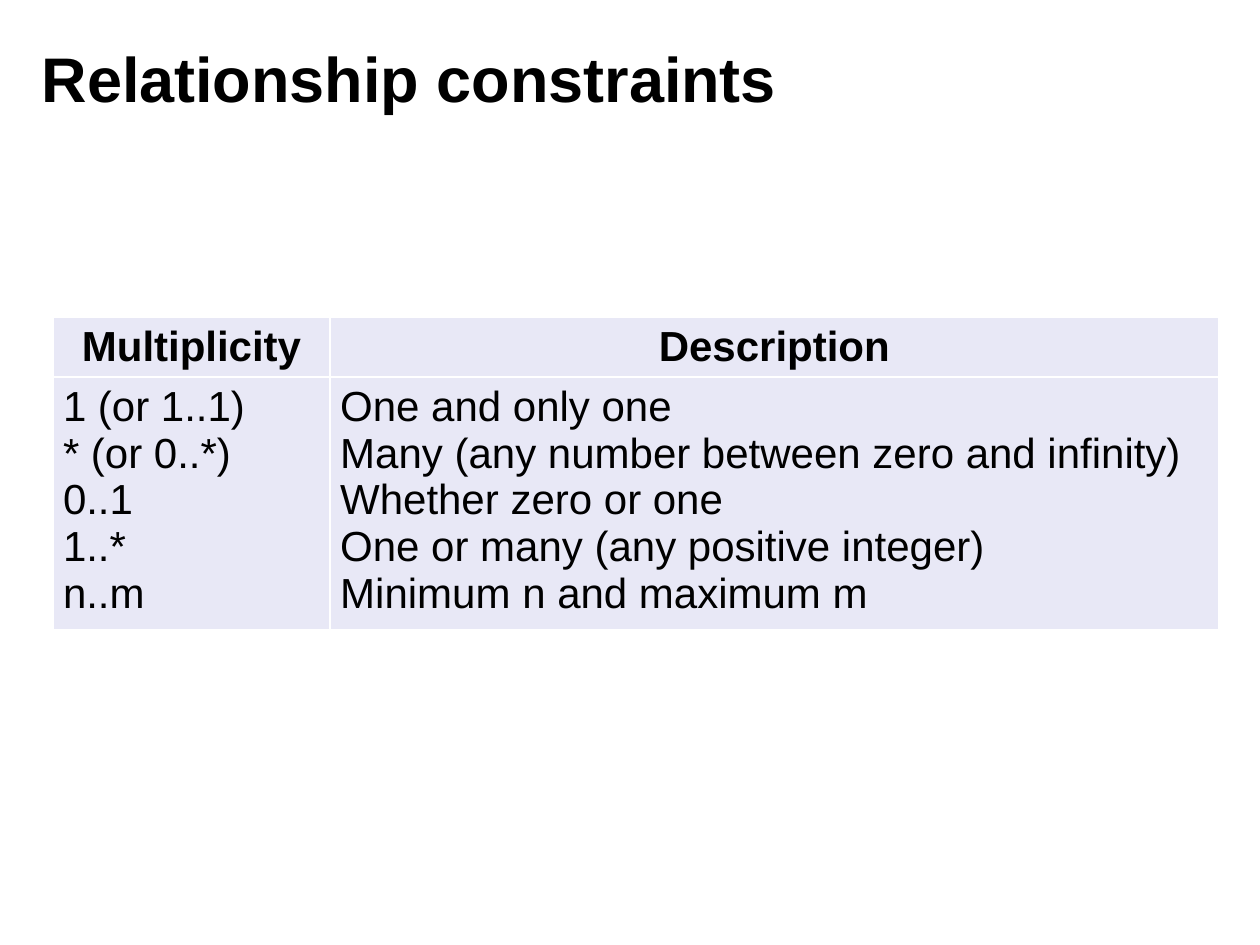
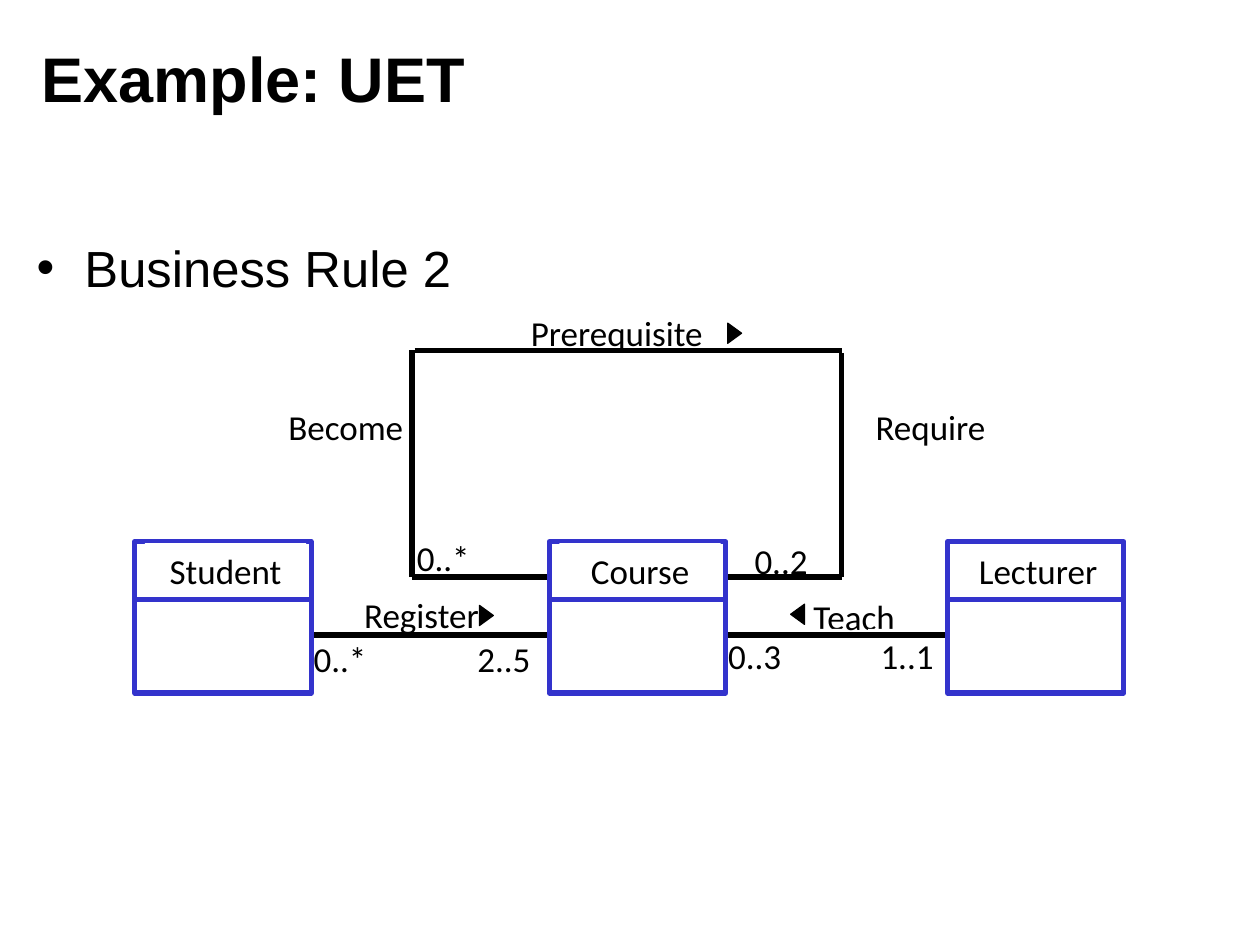
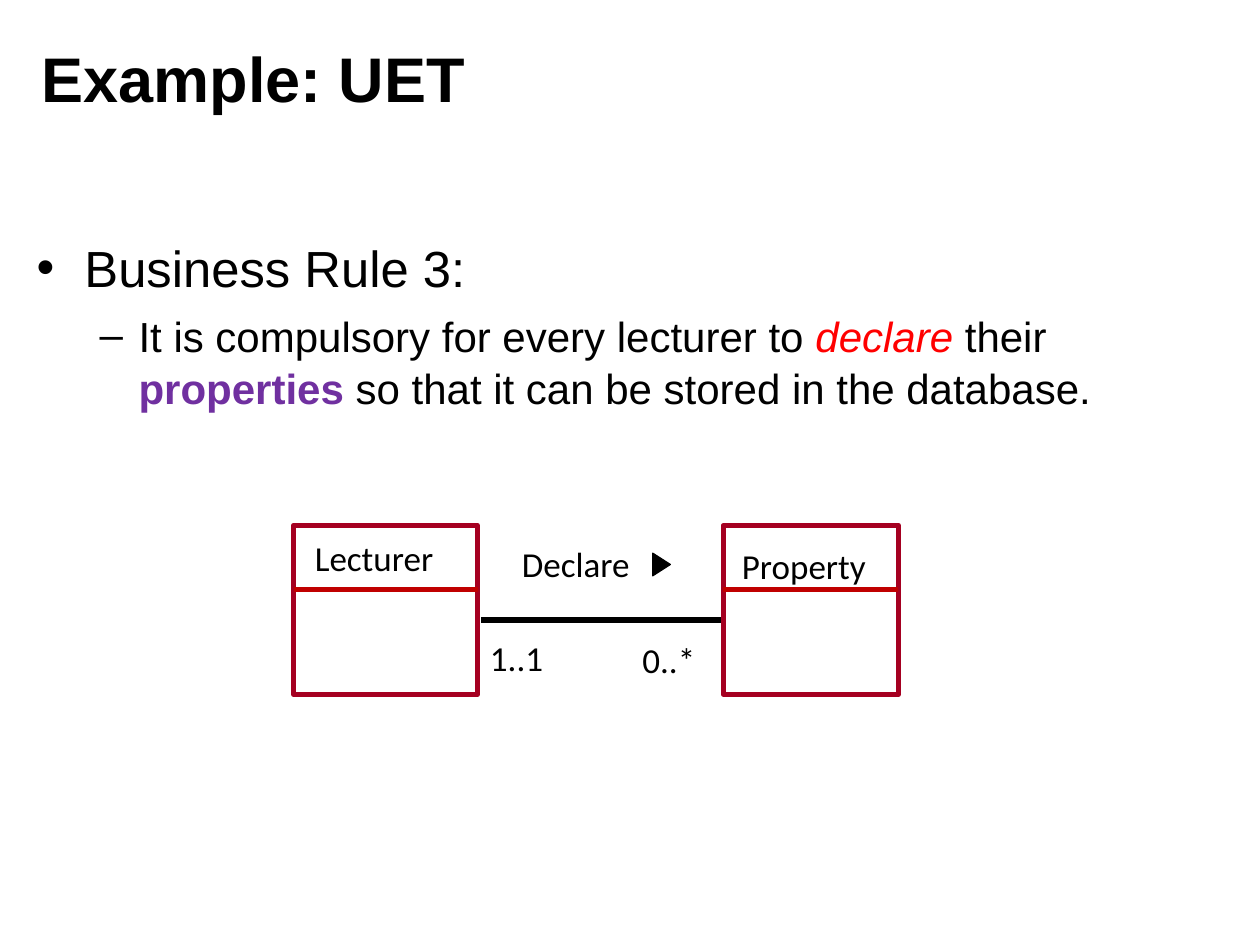
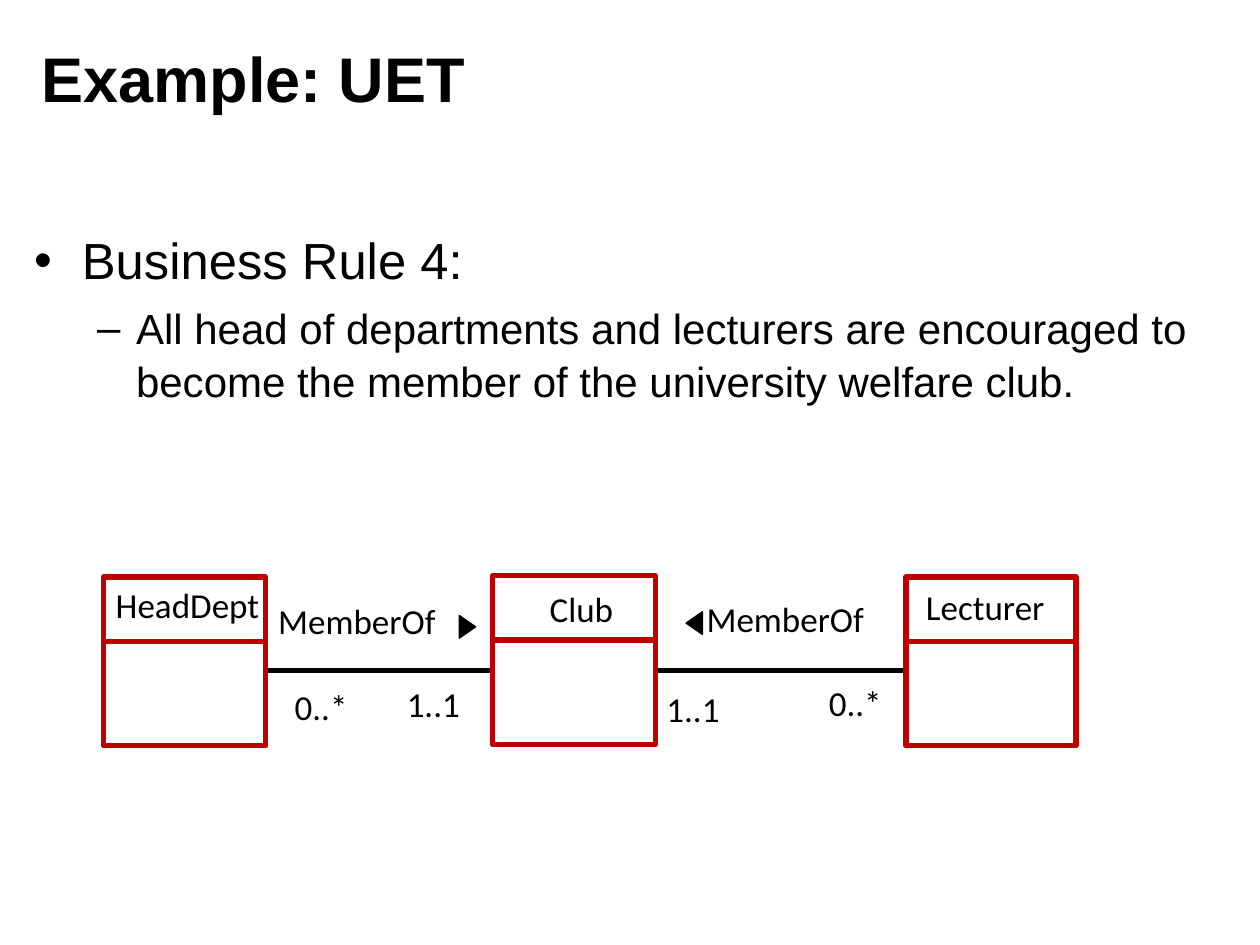
from dataclasses import dataclass
from typing import NamedTuple

from lxml import etree
from pptx import Presentation
from pptx.dml.color import RGBColor
from pptx.enum.shapes import MSO_CONNECTOR, MSO_SHAPE
from pptx.enum.text import MSO_ANCHOR, MSO_AUTO_SIZE, PP_ALIGN
from pptx.oxml.ns import qn
from pptx.util import Inches, Pt

LEFT, CENTER = PP_ALIGN.LEFT, PP_ALIGN.CENTER
TOP, MIDDLE = MSO_ANCHOR.TOP, MSO_ANCHOR.MIDDLE
RECT, TRIANGLE = MSO_SHAPE.RECTANGLE, MSO_SHAPE.ISOSCELES_TRIANGLE
STRAIGHT = MSO_CONNECTOR.STRAIGHT
NO_FIT = MSO_AUTO_SIZE.NONE
TITLE_ONLY, TITLE_BODY = 5, 1


@dataclass(frozen=True)
class Theme:
    ink: str = "000000"
    paper: str = "FFFFFF"
    cell: str = "E8E8F6"
    blue: str = "3333CC"
    wine: str = "A50021"
    red: str = "C00000"
    verb: str = "FF0000"
    noun: str = "7030A0"
    head: str = "Arial"
    label: str = "Calibri"
    title_size: float = 36
    table_size: float = 24
    label_size: float = 20
    line: float = 3
    arrow_line: float = 0.75
    cell_outer: float = 0.45
    cell_inner: float = 1.08


THEME = Theme()


class Level(NamedTuple):
    mark: str
    margin: float
    hang: float
    size: float
    before: float


LEVELS = (Level("•", 0.38, 0.38, 29, 0), Level("–", 0.81, 0.31, 24, 6))


class Span(NamedTuple):
    text: str
    color: str = ""
    bold: bool = False
    italic: bool = False


class Item(NamedTuple):
    level: int
    spans: tuple[Span, ...]


class Label(NamedTuple):
    text: str
    left: float
    top: float
    width: float
    align: PP_ALIGN = LEFT
    clear: bool = False


class Box(NamedTuple):
    """A class box with its name label."""
    left: float
    top: float
    width: float
    name: Label


class Link(NamedTuple):
    x1: float
    y1: float
    x2: float
    y2: float


class Arrow(NamedTuple):
    left: float
    top: float
    turn: int


@dataclass(frozen=True)
class Diagram:
    boxes: tuple[Box, ...]
    labels: tuple[Label, ...]
    links: tuple[Link, ...]
    arrows: tuple[Arrow, ...]
    edge: str
    rule: str
    box_high: float = 1.34
    rule_drop: float = 0.51
    label_high: float = 0.46
    arrow_wide: float = 0.18
    arrow_high: float = 0.13


@dataclass(frozen=True)
class Page:
    items: tuple[Item, ...]
    left: float
    top: float
    diagram: Diagram


def rgb(color: str) -> RGBColor:
    return RGBColor.from_string(color)


def set_font(font, face: str, size: float, bold: bool = False) -> None:
    font.name, font.size, font.bold = face, Pt(size), bold
    font.color.rgb = rgb(THEME.ink)


def place(shape, left: float, top: float, width: float, height: float) -> None:
    shape.left, shape.top = Inches(left), Inches(top)
    shape.width, shape.height = Inches(width), Inches(height)


def add_page(prs, layout: int, title: str):
    slide = prs.slides.add_slide(prs.slide_layouts[layout])
    shape = slide.shapes.title
    place(shape, 0.23, 0.15, 8.03, 0.93)
    frame = shape.text_frame
    frame.text = title
    frame.auto_size = NO_FIT
    frame.vertical_anchor = MIDDLE
    para = frame.paragraphs[0]
    para.alignment = LEFT
    set_font(para.font, THEME.head, THEME.title_size, bold=True)
    return slide


def add_items(slide, page: Page) -> None:
    body = slide.placeholders[1]
    place(body, page.left, page.top, 9.61, 4.82)
    frame = body.text_frame
    frame.auto_size = NO_FIT
    for i, item in enumerate(page.items):
        para = frame.add_paragraph() if i else frame.paragraphs[0]
        level = LEVELS[item.level]
        para.level = item.level
        para.space_before = Pt(level.before)
        para.line_spacing = 1.04
        props = para._p.get_or_add_pPr()
        props.set("marL", str(Inches(level.margin)))
        props.set("indent", str(-Inches(level.hang)))
        etree.SubElement(props, qn("a:buFont")).set("typeface", THEME.head)
        etree.SubElement(props, qn("a:buChar")).set("char", level.mark)
        set_font(para.font, THEME.head, level.size)
        for span in item.spans:
            run = para.add_run()
            run.text = span.text
            if span.color:
                run.font.color.rgb = rgb(span.color)
                run.font.bold, run.font.italic = span.bold, span.italic


def add_rect(slide, left: float, top: float, width: float, height: float):
    shape = slide.shapes.add_shape(
        RECT, Inches(left), Inches(top), Inches(width), Inches(height))
    shape.shadow.inherit = False
    shape.fill.solid()
    shape.fill.fore_color.rgb = rgb(THEME.paper)
    shape.line.fill.background()
    return shape


def add_label(slide, label: Label, height: float) -> None:
    spot = label.left, label.top, label.width, height
    if label.clear:
        shape = slide.shapes.add_textbox(*map(Inches, spot))
    else:
        shape = add_rect(slide, *spot)
    frame = shape.text_frame
    frame.word_wrap = True
    frame.vertical_anchor = TOP
    frame.text = label.text
    para = frame.paragraphs[0]
    para.alignment = label.align
    set_font(para.font, THEME.label, THEME.label_size)


def add_link(slide, link: Link, color: str) -> None:
    line = slide.shapes.add_connector(STRAIGHT, *map(Inches, link))
    line.line.color.rgb = rgb(color)
    line.line.width = Pt(THEME.line)
    etree.SubElement(line._element.spPr, qn("a:effectLst"))


def add_box(slide, box: Box, plan: Diagram) -> None:
    shape = add_rect(slide, box.left, box.top, box.width, plan.box_high)
    shape.line.color.rgb = rgb(plan.edge)
    shape.line.width = Pt(THEME.line)
    y = box.top + plan.rule_drop
    add_link(slide, Link(box.left, y, box.left + box.width, y), plan.rule)
    add_label(slide, box.name, plan.label_high)


def add_arrow(slide, arrow: Arrow, plan: Diagram) -> None:
    shape = slide.shapes.add_shape(
        TRIANGLE, Inches(arrow.left), Inches(arrow.top),
        Inches(plan.arrow_wide), Inches(plan.arrow_high))
    shape.rotation = arrow.turn
    shape.shadow.inherit = False
    shape.fill.solid()
    shape.fill.fore_color.rgb = rgb(THEME.ink)
    shape.line.color.rgb = rgb(THEME.ink)
    shape.line.width = Pt(THEME.arrow_line)


def draw(slide, plan: Diagram) -> None:
    for label in plan.labels:
        add_label(slide, label, plan.label_high)
    for link in plan.links:
        add_link(slide, link, THEME.ink)
    for box in plan.boxes:
        add_box(slide, box, plan)
    for arrow in plan.arrows:
        add_arrow(slide, arrow, plan)


def set_border(cell, side: str, width: float) -> None:
    line = etree.SubElement(cell._tc.get_or_add_tcPr(), qn(f"a:{side}"))
    line.set("w", str(Pt(width)))
    fill = etree.SubElement(line, qn("a:solidFill"))
    etree.SubElement(fill, qn("a:srgbClr")).set("val", THEME.paper)


def add_grid(slide, rows: tuple[tuple[str, ...], ...]) -> None:
    last_row, last_col = len(rows) - 1, len(rows[0]) - 1
    table = slide.shapes.add_table(
        len(rows), len(rows[0]),
        Inches(0.42), Inches(2.52), Inches(9.25), Inches(2.4)).table
    for col, width in zip(table.columns, (2.2, 7.05)):
        col.width = Inches(width)
    for row, height in zip(table.rows, (0.4, 2)):
        row.height = Inches(height)
    for r, row in enumerate(rows):
        for c, text in enumerate(row):
            cell = table.cell(r, c)
            outer = {"lnL": c == 0, "lnR": c == last_col,
                     "lnT": r == 0, "lnB": r == last_row}
            for side, edge in outer.items():
                set_border(cell, side,
                           THEME.cell_outer if edge else THEME.cell_inner)
            cell.fill.solid()
            cell.fill.fore_color.rgb = rgb(THEME.cell)
            cell.margin_left = cell.margin_right = Inches(0.08)
            cell.margin_top = cell.margin_bottom = Inches(0.05)
            cell.text = text
            para = cell.text_frame.paragraphs[0]
            para.alignment = LEFT if r else CENTER
            para.space_after = Pt(3)
            set_font(para.font, THEME.head, THEME.table_size, bold=r == 0)


MULTIPLICITY = (
    ("1 (or 1..1)", "One and only one"),
    ("* (or 0..*)", "Many (any number between zero and infinity)"),
    ("0..1", "Whether zero or one"),
    ("1..*", "One or many (any positive integer)"),
    ("n..m", "Minimum n and maximum m"),
)

COURSES = Diagram(
    boxes=(
        Box(1.07, 4.3, 1.4, Label("Student", 1.15, 4.31, 1.28, CENTER)),
        Box(4.36, 4.3, 1.4, Label("Course", 4.44, 4.31, 1.28, CENTER)),
        Box(7.52, 4.3, 1.4, Label("Lecturer", 7.56, 4.31, 1.36, CENTER, True)),
    ),
    labels=(
        Label("0..2", 5.89, 4.23, 0.94),
        Label("0..*", 3.21, 4.21, 1.01),
        Label("Require", 6.56, 3.17, 1.65, CENTER),
        Label("Become", 2.16, 3.17, 1.17, CENTER),
        Label("Prerequisite", 3.97, 2.42, 1.85, CENTER),
        Label("Teach", 6.15, 4.68, 1.26, CENTER),
        Label("Register", 2.72, 4.66, 1.25, CENTER),
        Label("1..1", 6.89, 4.99, 0.77),
        Label("0..3", 5.68, 4.99, 1.01),
        Label("2..5", 3.69, 5.01, 0.77),
        Label("0..*", 2.39, 5.01, 0.78),
    ),
    links=(
        Link(3.27, 4.58, 6.68, 4.58),
        Link(2.35, 5.04, 7.71, 5.04),
        Link(3.29, 2.78, 6.68, 2.78),
        Link(3.27, 4.58, 3.27, 2.78),
        Link(6.68, 4.58, 6.68, 2.8),
    ),
    arrows=(Arrow(5.75, 2.59, 90), Arrow(3.78, 4.83, 90),
            Arrow(6.25, 4.82, 270)),
    edge=THEME.blue, rule=THEME.blue,
    box_high=1.2, rule_drop=0.46, label_high=0.41,
    arrow_wide=0.16, arrow_high=0.11,
)

ASSETS = Diagram(
    boxes=(
        Box(2.33, 4.17, 1.46, Label("Lecturer", 2.4, 4.21, 1.18, clear=True)),
        Box(5.74, 4.17, 1.39, Label("Property", 5.79, 4.27, 1.63, clear=True)),
    ),
    labels=(
        Label("0..*", 5, 5.02, 1.42),
        Label("1..1", 3.79, 5, 1.11),
        Label("Declare", 3.79, 4.26, 1.56, CENTER),
    ),
    links=(Link(3.82, 4.92, 6.53, 4.92),),
    arrows=(Arrow(5.16, 4.41, 90),),
    edge=THEME.wine, rule=THEME.red, arrow_high=0.14,
)

CLUB = Diagram(
    boxes=(
        Box(7.19, 4.58, 1.35, Label("Lecturer", 7.25, 4.6, 1.58, clear=True)),
        Box(3.91, 4.57, 1.29, Label("Club", 3.93, 4.61, 1.37, CENTER, True)),
        Box(0.82, 4.58, 1.29, Label("HeadDept", 0.82, 4.58, 1.42, clear=True)),
    ),
    labels=(
        Label("MemberOf", 5.51, 4.69, 1.74),
        Label("0..*", 6.48, 5.36, 1.03),
        Label("MemberOf", 2.11, 4.71, 1.8),
        Label("1..1", 5.19, 5.41, 1.01),
        Label("1..1", 3.13, 5.37, 0.81),
        Label("0..*", 2.24, 5.39, 0.81),
    ),
    links=(Link(1.33, 5.32, 7.19, 5.32),),
    arrows=(Arrow(3.62, 4.91, 90), Arrow(5.42, 4.88, 270)),
    edge=THEME.red, rule=THEME.red,
)

PAGES = (
    Page((Item(0, (Span("Business Rule 2"),)),), 0.19, 1.81, COURSES),
    Page((
        Item(0, (Span("Business Rule 3:"),)),
        Item(1, (
            Span("It is compulsory for every lecturer to "),
            Span("declare", THEME.verb, italic=True),
            Span(" their "),
            Span("properties ", THEME.noun, bold=True),
            Span("so that it can be stored in the database."),
        )),
    ), 0.19, 1.81, ASSETS),
    Page((
        Item(0, (Span("Business Rule 4:"),)),
        Item(1, (Span("All head of departments and lecturers are encouraged "
                      "to become the member of the university welfare "
                      "club."),)),
    ), 0.17, 1.75, CLUB),
)


def main() -> None:
    prs = Presentation()
    prs.slide_width, prs.slide_height = Inches(10), Inches(7.5)
    slide = add_page(prs, TITLE_ONLY, "Relationship constraints")
    lines = tuple("\v".join(col) for col in zip(*MULTIPLICITY))
    add_grid(slide, (("Multiplicity", "Description"), lines))
    for page in PAGES:
        slide = add_page(prs, TITLE_BODY, "Example: UET")
        add_items(slide, page)
        draw(slide, page.diagram)
    prs.save("out.pptx")


if __name__ == "__main__":
    main()
